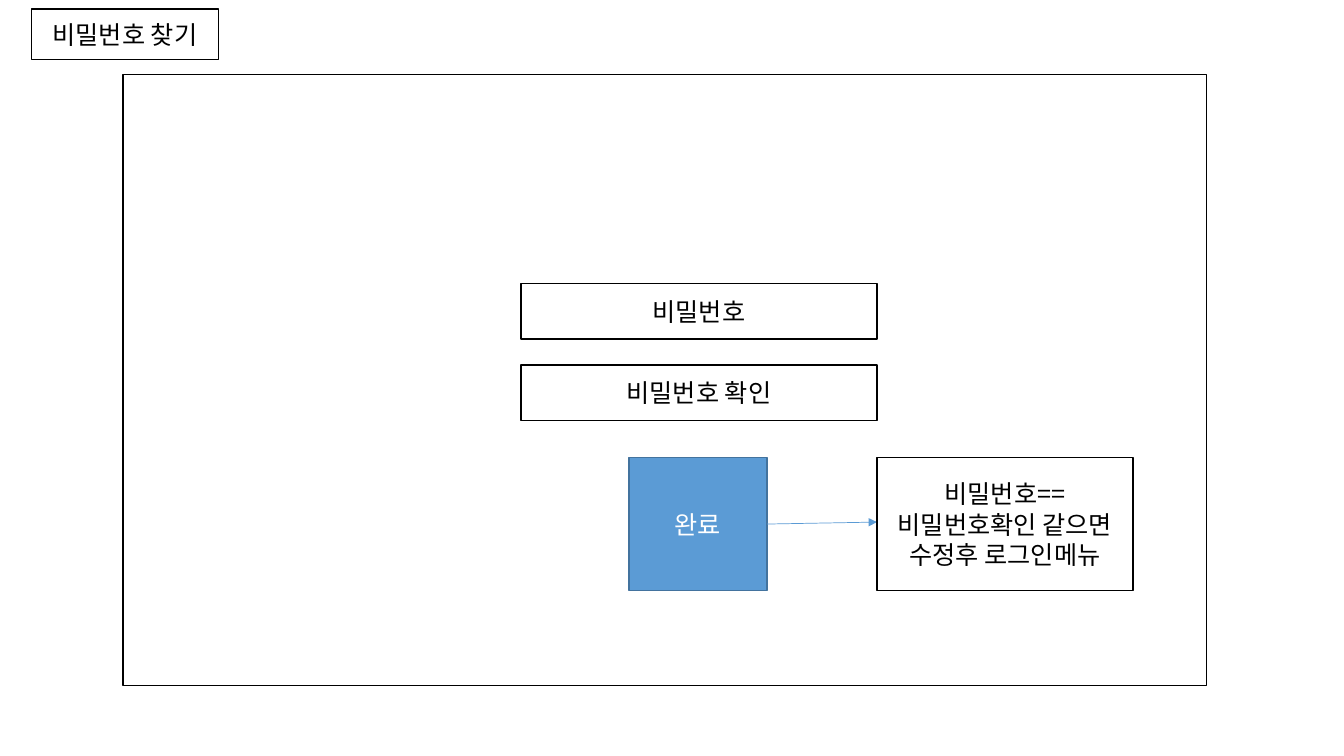
from lxml.etree import SubElement
from pptx import Presentation
from pptx.dml.color import RGBColor
from pptx.enum.shapes import MSO_CONNECTOR, MSO_SHAPE
from pptx.enum.text import MSO_ANCHOR, MSO_AUTO_SIZE, PP_ALIGN
from pptx.oxml.ns import qn
from pptx.util import Cm, Pt

FONT = "Noto Sans CJK KR"
COLORS = {"white": "FFFFFF", "black": "000000", "blue": "5B9BD5", "edge": "43739E"}
PLAIN = ("white", "black", "black")  # fill, line, text
ACCENT = ("blue", "edge", "white")

TITLE = "비밀번호 찾기"
FIELDS = ["비밀번호", "비밀번호 확인"]
BUTTON = "완료"
RESULT = "비밀번호==비밀번호확인 같으면 수정후 로그인메뉴"

# Left, top, width, height in centimetres
TITLE_BOX = (0.79, 0.23, 4.72, 1.27)
SCREEN_BOX = (3.1, 1.88, 27.31, 15.39)
FIELD_LEFT, FIELD_TOP, FIELD_WIDTH, FIELD_HEIGHT = 13.13, 7.14, 8.97, 1.4
FIELD_STEP = 2.06
ROW_TOP, ROW_HEIGHT = 11.53, 3.35
BUTTON_BOX = (15.85, ROW_TOP, 3.48, ROW_HEIGHT)
RESULT_BOX = (FIELD_LEFT + FIELD_WIDTH, ROW_TOP, 6.45, ROW_HEIGHT)
ARROW_RISE = 0.05


def color(name):
    """Return the palette colour of that name."""
    return RGBColor.from_string(COLORS[name])


def format_box(shape, box, text="", style=PLAIN):
    """Place a shape, colour it and write its centred text."""
    fill, line, ink = style
    shape.left, shape.top, shape.width, shape.height = map(Cm, box)
    shape.fill.solid()
    shape.fill.fore_color.rgb = color(fill)
    shape.line.color.rgb = color(line)
    shape.line.width = Pt(1)
    if not text:
        return
    frame = shape.text_frame
    frame.word_wrap = True
    frame.auto_size = MSO_AUTO_SIZE.NONE
    frame.vertical_anchor = MSO_ANCHOR.MIDDLE
    paragraph = frame.paragraphs[0]
    paragraph.alignment = PP_ALIGN.CENTER
    paragraph.line_spacing = 1.0
    run = paragraph.add_run()
    run.text = text
    run.font.size = Pt(18)
    run.font.name = FONT
    run.font.color.rgb = color(ink)
    SubElement(run.font._element, qn("a:ea")).set("typeface", FONT)


def add_box(slide, box, text="", style=PLAIN):
    """Add a formatted rectangle without a shadow."""
    shape = slide.shapes.add_shape(MSO_SHAPE.RECTANGLE, *map(Cm, box))
    shape.shadow.inherit = False
    format_box(shape, box, text, style)


def add_arrow(slide, start, end):
    """Add a thin blue arrow between two points."""
    arrow = slide.shapes.add_connector(
        MSO_CONNECTOR.STRAIGHT, *map(Cm, start + end))
    arrow.line.color.rgb = color("blue")
    arrow.line.width = Pt(0.5)
    SubElement(arrow.line._get_or_add_ln(), qn("a:tailEnd")).set("type", "triangle")
    SubElement(arrow._element.spPr, qn("a:effectLst"))


presentation = Presentation()
presentation.slide_width, presentation.slide_height = Cm(33.87), Cm(19.05)
slide = presentation.slides.add_slide(presentation.slide_layouts[5])

format_box(slide.shapes.title, TITLE_BOX, TITLE)
add_box(slide, SCREEN_BOX)
for index, label in enumerate(FIELDS):
    top = FIELD_TOP + index * FIELD_STEP
    add_box(slide, (FIELD_LEFT, top, FIELD_WIDTH, FIELD_HEIGHT), label)
add_box(slide, BUTTON_BOX, BUTTON, ACCENT)

middle = ROW_TOP + ROW_HEIGHT / 2
add_arrow(slide, (BUTTON_BOX[0] + BUTTON_BOX[2], middle),
          (RESULT_BOX[0], middle - ARROW_RISE))
add_box(slide, RESULT_BOX, RESULT)

presentation.save("out.pptx")
